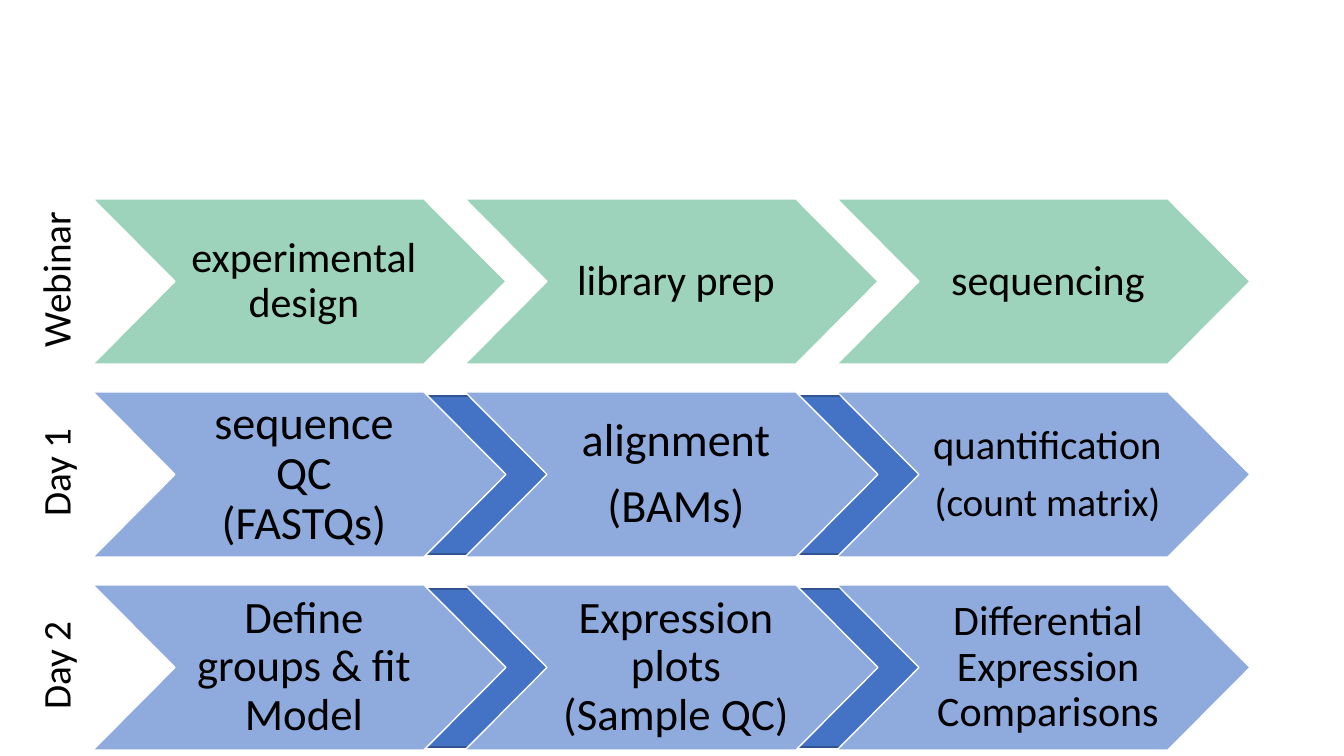
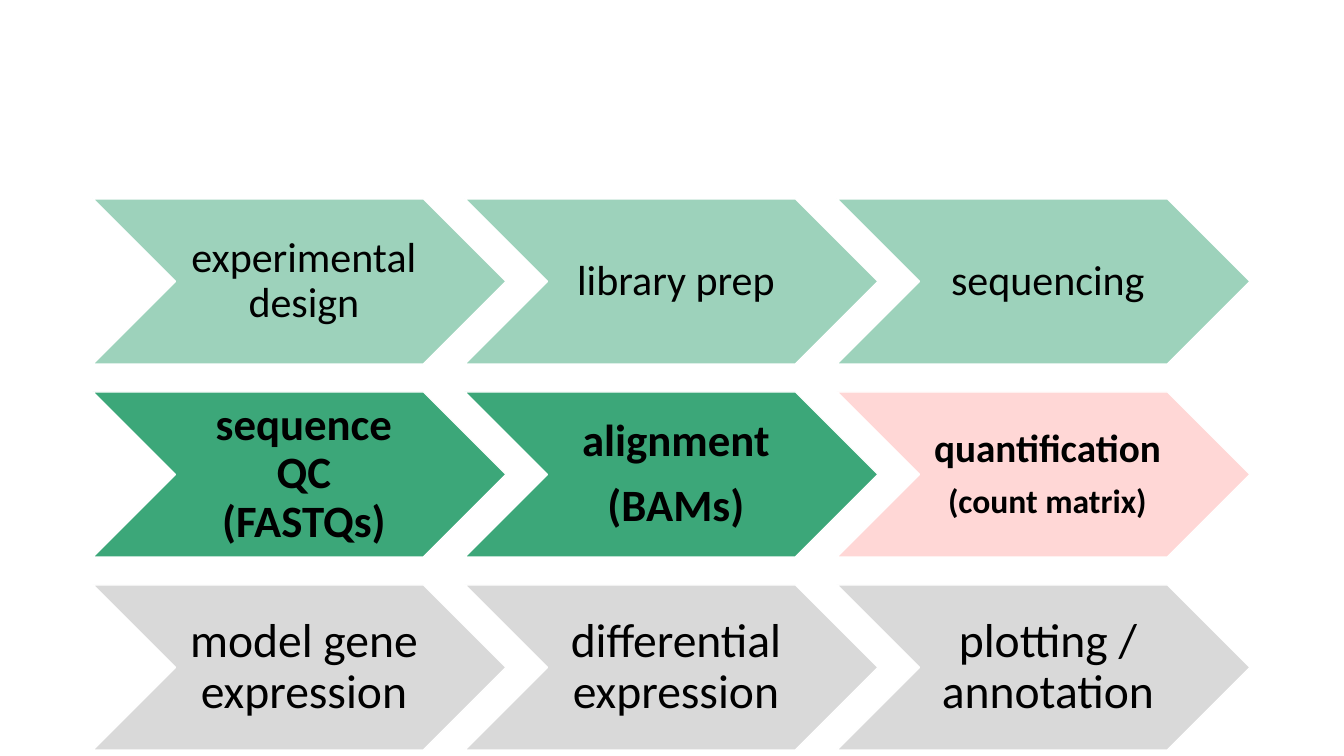
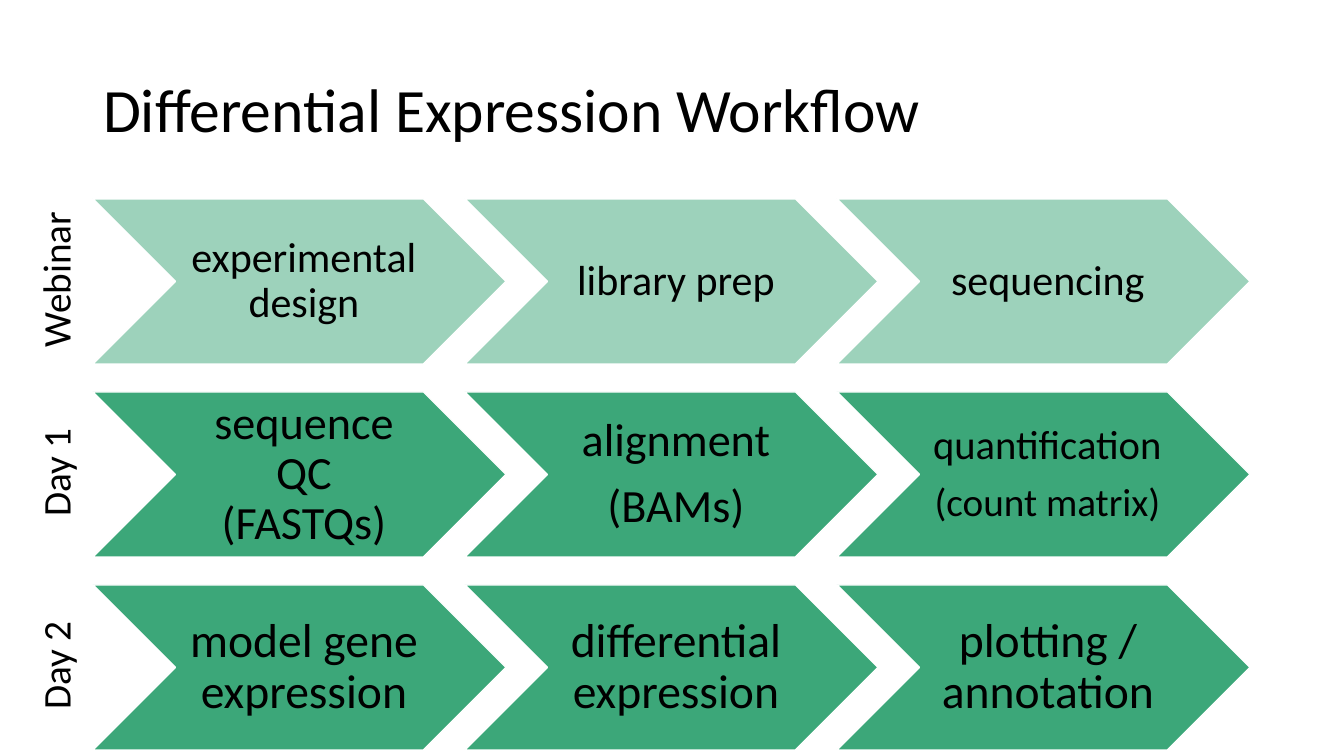
import lxml.etree
import pptx
import pptx.dml.color
import pptx.enum.shapes
import pptx.enum.text
import pptx.oxml.ns
import pptx.util

PX = 914400 / 100.8
WIDTH, HEIGHT = 1344, 756
FONT = "Calibri"
BLACK, WHITE = "000000", "FFFFFF"
GREEN, PINK, GREY = "3CA779", "FFD7D6", "D9D9D9"
LIGHT_BLUE, BLUE, DARK_BLUE = "8FAADC", "4472C4", "325491"
LEFT, TOP = 93, 199
COLUMN_PITCH, ROW_PITCH = 372, 193
STEP_W, STEP_H = 413, 165
POINT = 82
BLANK, TITLE_ONLY = 6, 5


def px(*lengths):
    """Turn pixel lengths into EMU."""
    return [pptx.util.Emu(round(length * PX)) for length in lengths]


def color(hex_code):
    """Return the colour for a hex string."""
    return pptx.dml.color.RGBColor.from_string(hex_code)


def paint(sp, fill, line, opacity=100):
    """Set fill, outline and opacity of a shape, without shadow."""
    sp.shadow.inherit = False
    sp.fill.solid()
    sp.fill.fore_color.rgb = color(fill)
    sp.line.color.rgb = color(line)
    sp.line.width = pptx.util.Pt(1)
    if opacity < 100:
        qn = pptx.oxml.ns.qn
        clr = sp._element.spPr.find(qn("a:solidFill"))[0]
        lxml.etree.SubElement(clr, qn("a:alpha"), val=str(opacity * 1000))


def format_runs(p, size, bold=False):
    """Give the runs of a paragraph the deck font."""
    for r in p.runs:
        r.font.name = FONT
        r.font.size = pptx.util.Pt(size)
        r.font.bold = bold
        r.font.color.rgb = color(BLACK)


def write_step(tf, paragraphs, side=0, bold=False):
    """Write the centred paragraphs of one step, with margins that follow the text size."""
    qn = pptx.oxml.ns.qn
    size = paragraphs[0][1]
    edge = round(size * 0.14)
    tf.word_wrap = True
    tf.vertical_anchor = pptx.enum.text.MSO_ANCHOR.MIDDLE
    tf.margin_left, tf.margin_right = px(side + round(size * 0.42), side + edge)
    tf.margin_top, tf.margin_bottom = px(edge, edge)
    for i, (text, size) in enumerate(paragraphs):
        p = tf.add_paragraph() if i else tf.paragraphs[0]
        p.text = text
        p.alignment = pptx.enum.text.PP_ALIGN.CENTER
        p.line_spacing = 0.9
        after = lxml.etree.SubElement(p._p.get_or_add_pPr(), qn("a:spcAft"))
        lxml.etree.SubElement(after, qn("a:spcPct"), val="35000")
        format_runs(p, size, bold)


def outlined_step(s, x, y, paragraphs, fill, opacity, bold):
    """Draw a chevron outline that holds its own text."""
    shoulder, middle = x + STEP_W - POINT, y + STEP_H / 2
    corners = [(x, y), (shoulder, y), (x + STEP_W, middle), (shoulder, y + STEP_H),
               (x, y + STEP_H), (x + POINT, middle)]
    points = [px(*corner) for corner in corners]
    outline = s.shapes.build_freeform(*points[0])
    outline.add_line_segments(points[1:], close=True)
    sp = outline.convert_to_shape()
    paint(sp, fill, WHITE, opacity)
    write_step(sp.text_frame, paragraphs, POINT, bold)


def preset_step(s, x, y, paragraphs, fill, opacity, bold):
    """Draw a preset chevron with a text box between notch and point."""
    chevron = pptx.enum.shapes.MSO_SHAPE.CHEVRON
    sp = s.shapes.add_shape(chevron, *px(x, y, STEP_W, STEP_H))
    paint(sp, fill, WHITE, opacity)
    tb = s.shapes.add_textbox(*px(x + POINT, y, STEP_W - 2 * POINT, STEP_H))
    write_step(tb.text_frame, paragraphs, bold=bold)


def workflow(s, rows, draw_step):
    """Draw the rows of steps on the workflow grid."""
    for i, (steps, fills, opacity, bold) in enumerate(rows):
        for j, (paragraphs, fill) in enumerate(zip(steps, fills)):
            draw_step(s, LEFT + j * COLUMN_PITCH, TOP + i * ROW_PITCH,
                      paragraphs, fill, opacity, bold)


def day_links(s, x, y):
    """Draw the dark links behind the steps of both days."""
    rect = pptx.enum.shapes.MSO_SHAPE.RECTANGLE
    for i in range(2):
        for j in range(2):
            sp = s.shapes.add_shape(rect, *px(x + j * 360, y + i * ROW_PITCH, 160, 158))
            paint(sp, BLUE, DARK_BLUE)


def row_labels(s, x, y):
    """Write the upright session names left of the rows."""
    for i, label in enumerate(["Webinar", "Day 1", "Day 2"]):
        tb = s.shapes.add_textbox(*px(x, y + i * ROW_PITCH, 158, 57))
        tb.rotation = 270
        tf = tb.text_frame
        tf.text = label
        tf.word_wrap = True
        tf.auto_size = pptx.enum.text.MSO_AUTO_SIZE.SHAPE_TO_FIT_TEXT
        p = tf.paragraphs[0]
        p.alignment = pptx.enum.text.PP_ALIGN.CENTER
        format_runs(p, 28)


def slide_title(s, text):
    """Place and format the title."""
    title = s.shapes.title
    title.left, title.top, title.width, title.height = px(LEFT, 40, 1159, 146)
    tf = title.text_frame
    tf.text = text
    tf.word_wrap = True
    tf.vertical_anchor = pptx.enum.text.MSO_ANCHOR.MIDDLE
    p = tf.paragraphs[0]
    p.alignment = pptx.enum.text.PP_ALIGN.LEFT
    p.line_spacing = 0.9
    format_runs(p, 44)


def data_steps(size, count_size, matrix_size):
    """Return the steps of day 1 in the given text sizes."""
    return [[("sequence QC\n(FASTQs)", size)],
            [("alignment", size), ("(BAMs)", size)],
            [("quantification", count_size), ("(count matrix)", matrix_size)]]


WEBINAR = ([[("experimental design", 30)], [("library prep", 30)], [("sequencing", 30)]],
           [GREEN] * 3, 50, False)
DAY_1 = data_steps(33, 29, 28)
MODEL_STEPS = [[("model gene expression", 34)], [("differential expression", 34)],
               [("plotting / annotation", 34)]]
COMPARISON_STEPS = [[("Define groups & fit Model", 32)],
                    [("Expression plots (Sample QC)", 32)],
                    [("Differential Expression Comparisons", 30)]]


def sessions_slide(prs):
    """Build the overview of sessions with linked days."""
    s = prs.slides.add_slide(prs.slide_layouts[BLANK])
    day_links(s, 412, 396)
    workflow(s, [WEBINAR,
                 (DAY_1, [LIGHT_BLUE] * 3, 100, False),
                 (COMPARISON_STEPS, [LIGHT_BLUE] * 3, 100, False)], outlined_step)
    row_labels(s, -24, 251)


def progress_slide(prs):
    """Build the progress view with the current step in pink."""
    s = prs.slides.add_slide(prs.slide_layouts[BLANK])
    workflow(s, [WEBINAR,
                 (data_steps(32, 28, 24), [GREEN, GREEN, PINK], 100, True),
                 (MODEL_STEPS, [GREY] * 3, 100, False)], preset_step)


def complete_slide(prs):
    """Build the titled view of the whole workflow."""
    s = prs.slides.add_slide(prs.slide_layouts[TITLE_ONLY])
    slide_title(s, "Differential Expression Workflow")
    workflow(s, [WEBINAR,
                 (DAY_1, [GREEN] * 3, 100, False),
                 (MODEL_STEPS, [GREEN] * 3, 100, False)], preset_step)
    row_labels(s, -24, 251)


prs = pptx.Presentation()
prs.slide_width, prs.slide_height = px(WIDTH, HEIGHT)
sessions_slide(prs)
progress_slide(prs)
complete_slide(prs)
prs.save("out.pptx")
